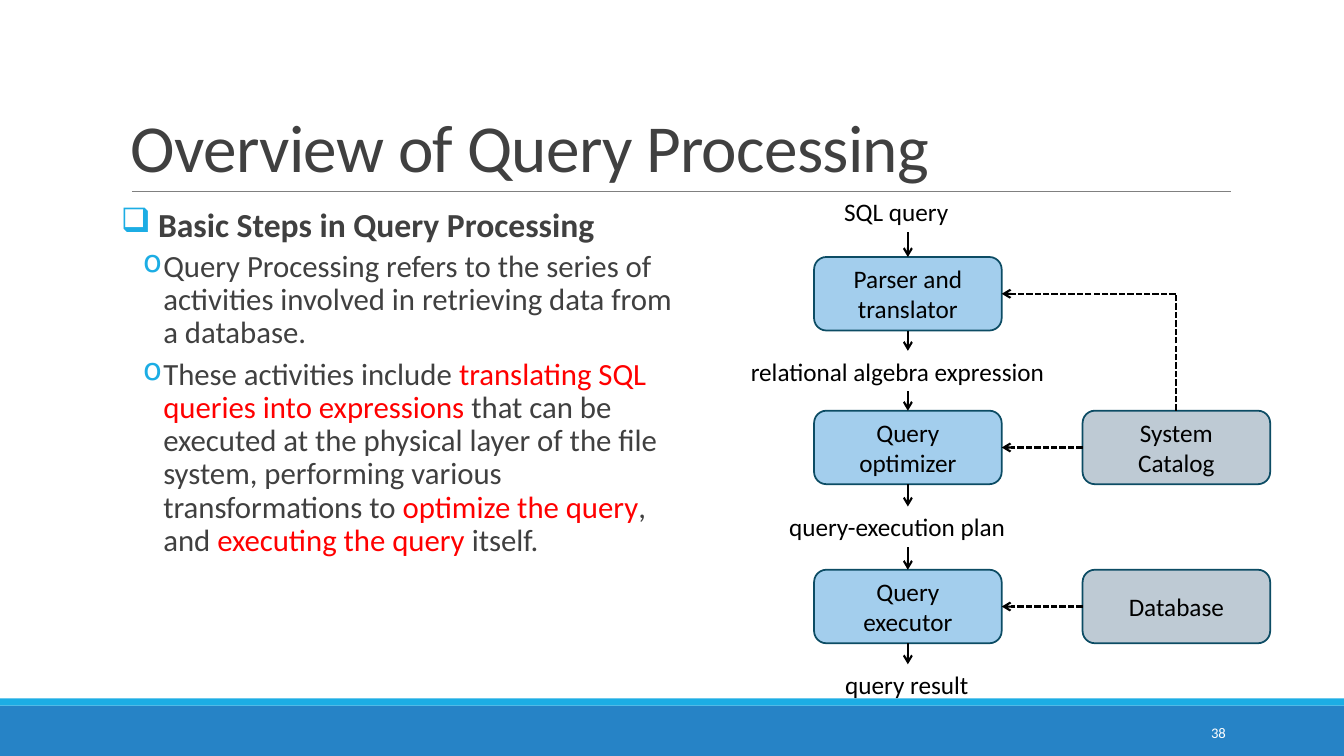
import pptx
import pptx.dml.color
import pptx.enum.dml
import pptx.enum.shapes
import pptx.enum.text
import pptx.oxml.ns
import pptx.util
from lxml import etree

Pt = pptx.util.Pt
SHAPE = pptx.enum.shapes.MSO_SHAPE
ALIGN = pptx.enum.text.PP_ALIGN
ANCHOR = pptx.enum.text.MSO_ANCHOR
FONT = "Calibri"
COLORS = {
    "band": "2683C6", "accent": "1CADE4", "rule": "808080", "text": "404040",
    "highlight": "FF0000", "step": "A3CEED", "store": "BECAD4",
    "outline": "0C4C64", "black": "000000", "white": "FFFFFF",
}


def rgb(name):
    return pptx.dml.color.RGBColor.from_string(COLORS[name])


def add_xml(parent, tag, **attributes):
    return etree.SubElement(parent, pptx.oxml.ns.qn(tag), **attributes)


def style_font(paragraph, size, color):
    paragraph.font.name = FONT
    paragraph.font.size = Pt(size)
    paragraph.font.color.rgb = rgb(color)


def add_text(slide, box, text, size, color, align=ALIGN.LEFT, anchor=ANCHOR.TOP):
    shape = slide.shapes.add_textbox(*map(Pt, box))
    frame = shape.text_frame
    frame.word_wrap = True
    frame.vertical_anchor = anchor
    paragraph = frame.paragraphs[0]
    paragraph.text = text
    paragraph.alignment = align
    style_font(paragraph, size, color)
    return paragraph


def add_block(slide, kind, box, fill, outline=None):
    shape = slide.shapes.add_shape(kind, *map(Pt, box))
    shape.shadow.inherit = False
    shape.fill.solid()
    shape.fill.fore_color.rgb = rgb(fill)
    if outline:
        shape.line.color.rgb = rgb(outline)
        shape.line.width = Pt(1.25)
    else:
        shape.line.fill.background()
    return shape


def style_line(line, color, width, arrow=False, dashed=False):
    line.color.rgb = rgb(color)
    line.width = Pt(width)
    if dashed:
        line.dash_style = pptx.enum.dml.MSO_LINE.SQUARE_DOT
    if arrow:
        add_xml(line._get_or_add_ln(), "a:tailEnd", type="arrow")


def add_line(slide, start, end, color="black", width=1.5, **style):
    connector = slide.shapes.add_connector(
        pptx.enum.shapes.MSO_CONNECTOR.STRAIGHT, *map(Pt, start + end))
    style_line(connector.line, color, width, **style)
    add_xml(connector._element.spPr, "a:effectLst")


def add_frame(slide, box):
    """Draw the bottom bands, the title rule and the slide number."""
    left, top, width, height = box
    bottom = top + height
    add_block(slide, SHAPE.RECTANGLE, (left, bottom - 36, width, 36), "band")
    add_block(slide, SHAPE.RECTANGLE, (left, bottom - 41.2, width, 5.2), "accent")
    add_line(slide, (left + 94.3, top + 136.8), (left + 879, top + 136.8), "rule", 0.5)
    add_text(slide, (left + 780, bottom - 31.4, 102.7, 28.8), "38", 10.5, "white",
             ALIGN.RIGHT, ANCHOR.MIDDLE)


def add_title(slide, box, text):
    paragraph = add_text(slide, box, text, 48, "text", anchor=ANCHOR.BOTTOM)
    paragraph.line_spacing = 0.85
    paragraph.font._element.set("spc", "-50")


def add_bullet(paragraph, character, margin, hanging):
    properties = paragraph._p.get_or_add_pPr()
    properties.set("marL", str(Pt(margin)))
    properties.set("indent", str(-Pt(hanging)))
    color = add_xml(properties, "a:buClr")
    add_xml(color, "a:srgbClr", val=COLORS["accent"])
    add_xml(properties, "a:buChar", char=character)


def add_body(slide, box, heading, points):
    """Write the heading and its points; odd pieces of a point are highlighted."""
    frame = slide.shapes.add_textbox(*map(Pt, box)).text_frame
    frame.word_wrap = True
    frame.margin_left = frame.margin_right = 0
    paragraph = frame.paragraphs[0]
    paragraph.text = heading
    add_bullet(paragraph, "❑", 26.5, 26.5)
    paragraph.line_spacing = 0.9
    paragraph.space_after = Pt(2)
    style_font(paragraph, 24, "text")
    paragraph.font.bold = True
    for pieces in points:
        paragraph = frame.add_paragraph()
        add_bullet(paragraph, "o", 30.24, 14.4)
        paragraph.line_spacing = 0.9
        paragraph.space_before = Pt(2)
        paragraph.space_after = Pt(4)
        style_font(paragraph, 22, "text")
        for index, piece in enumerate(pieces):
            run = paragraph.add_run()
            run.text = piece
            if index % 2:
                run.font.color.rgb = rgb("highlight")


def add_node(slide, box, text, fill):
    shape = add_block(slide, SHAPE.ROUNDED_RECTANGLE, box, fill, "outline")
    frame = shape.text_frame
    frame.word_wrap = True
    frame.vertical_anchor = ANCHOR.MIDDLE
    frame.text = text
    for paragraph in frame.paragraphs:
        paragraph.alignment = ALIGN.CENTER
        style_font(paragraph, 18, "black")


def add_flowchart(slide, box):
    """Draw the query pipeline on the left and its data stores on the right."""
    left, top, width, height = box
    node_width, node_height, label_height = 134, 52.5, 29
    step_left, store_left = left + 52.3, left + width - node_width
    step_right = step_left + node_width
    center = step_left + node_width / 2
    labels = [("SQL query", 66.7, 0, 104.4),
              ("relational algebra expression", 0, 113.8, 238.3),
              ("query-execution plan", 27.4, 225, 182.9),
              ("query result", 67.5, 337.7, 103.7)]
    steps = [("Parser and translator", 46.8), ("Query optimizer", 156.6),
             ("Query\nexecutor", 270.2)]
    stores = [("System\nCatalog", steps[1][1]), ("Database", steps[2][1])]

    for text, offset, label_top, label_width in labels:
        add_text(slide, (left + offset, top + label_top, label_width, label_height),
                 text, 18, "black")
    for index, (text, step_top) in enumerate(steps):
        node_top = top + step_top
        node_bottom = node_top + node_height
        add_node(slide, (step_left, node_top, node_width, node_height), text, "step")
        label_bottom = top + labels[index][2] + label_height
        add_line(slide, (center, label_bottom), (center, node_top), arrow=True)
        next_label = top + labels[index + 1][2]
        add_line(slide, (center, node_bottom), (center, next_label), arrow=True)
    for text, store_top in stores:
        node_top = top + store_top
        middle = node_top + node_height / 2
        add_node(slide, (store_left, node_top, node_width, node_height), text, "store")
        add_line(slide, (store_left, middle), (step_right, middle),
                 arrow=True, dashed=True)

    store_center = store_left + node_width / 2
    parser_middle = top + steps[0][1] + node_height / 2
    builder = slide.shapes.build_freeform(
        Pt(store_center), Pt(top + stores[0][1]))
    builder.add_line_segments([(Pt(store_center), Pt(parser_middle)),
                               (Pt(step_right), Pt(parser_middle))], close=False)
    catalog_link = builder.convert_to_shape()
    catalog_link.shadow.inherit = False
    catalog_link.fill.background()
    style_line(catalog_link.line, "black", 1.5, arrow=True, dashed=True)


def main():
    presentation = pptx.Presentation()
    presentation.slide_width, presentation.slide_height = Pt(960), Pt(540)
    slide = presentation.slides.add_slide(presentation.slide_layouts[6])
    add_frame(slide, (0, 0, 960, 540))
    add_title(slide, (86.4, 22.3, 792, 114.5), "Overview of Query Processing")
    add_body(slide, (86.4, 145.4, 404.6, 383), "Basic Steps in Query Processing", [
        ["Query Processing refers to the series of activities involved in "
         "retrieving data from a database."],
        ["These activities include ", "translating SQL queries into expressions",
         " that can be executed at the physical layer of the file system, "
         "performing various transformations to ", "optimize the query",
         ", and ", "executing the query", " itself."],
    ])
    add_flowchart(slide, (529.2, 136.8, 378.1, 366.7))
    presentation.save("out.pptx")


if __name__ == "__main__":
    main()
